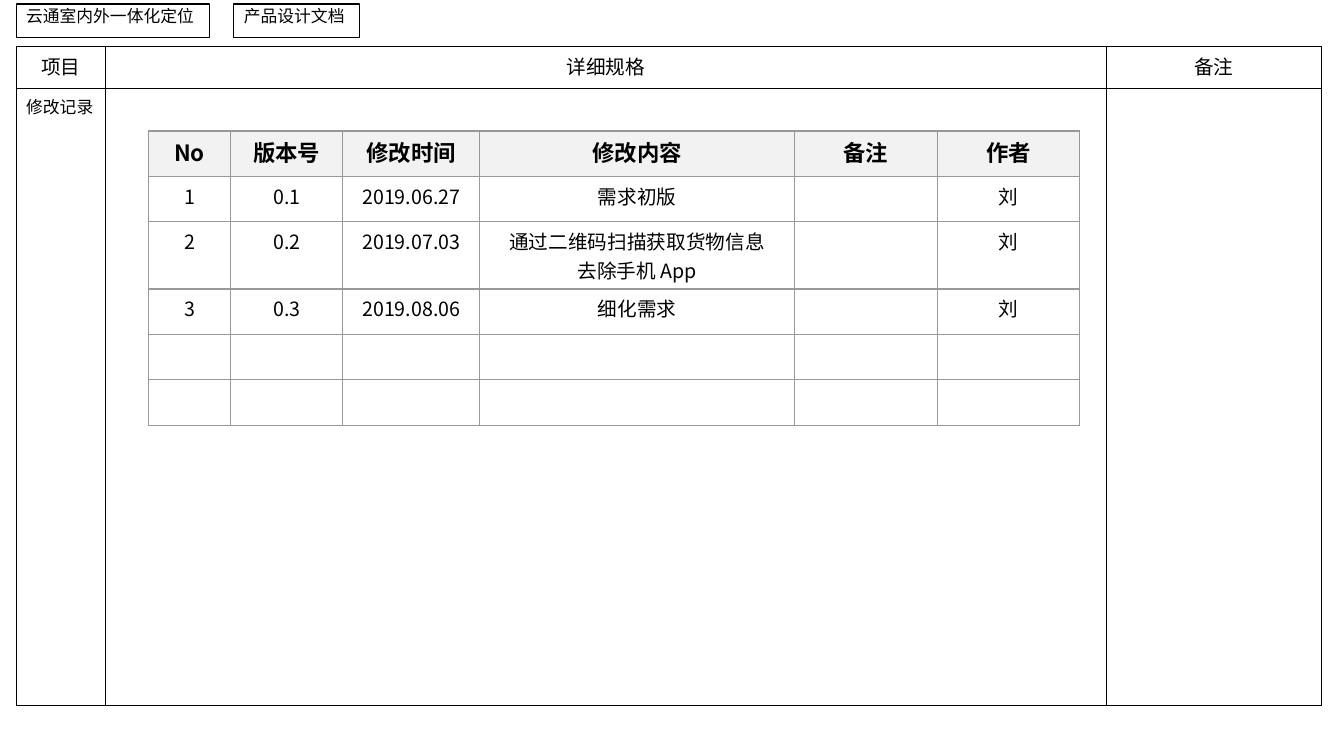
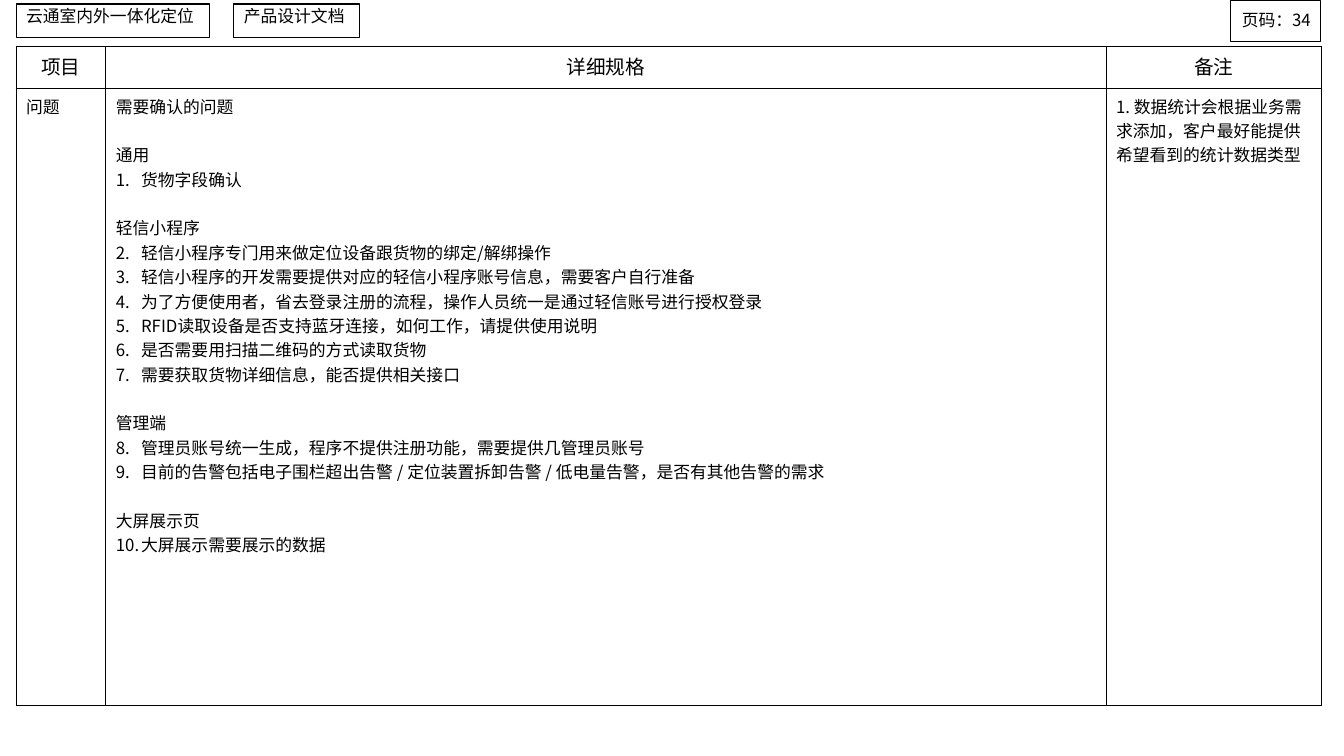
from dataclasses import dataclass
from pptx import Presentation
from pptx.dml.color import RGBColor as RGB
from pptx.enum.shapes import MSO_SHAPE as Shape
from pptx.enum.text import MSO_ANCHOR as Anchor, PP_ALIGN as Align
from pptx.oxml.ns import qn
from pptx.util import Inches, Pt


@dataclass(frozen=True)
class Theme:
    """Hold the colours, type sizes and font of the slides."""
    font: str = "Noto Sans CJK SC"
    ink: str = "000000"
    paper: str = "FFFFFF"
    rule: str = "999999"
    shade: str = "F2F2F2"
    body: int = 12
    head: int = 14
    title: int = 16
    gap: float = 17.4
    thin: float = 0.75


LOOK = Theme()
TAGS = [(0.16, 1.92, "云通室内外一体化定位"), (2.32, 1.25, "产品设计文档")]
HEADS = ["项目", "详细规格", "备注"]
LOG = [
    ["No", "版本号", "修改时间", "修改内容", "备注", "作者"],
    ["1", "0.1", "2019.06.27", "需求初版", "", "刘"],
    ["2", "0.2", "2019.07.03", "通过二维码扫描获取货物信息\n去除手机 App", "", "刘"],
    ["3", "0.3", "2019.08.06", "细化需求", "", "刘"],
    [""] * 6,
    [""] * 6,
]
TOPICS = [
    ("需要确认的问题", []),
    ("通用", ["货物字段确认"]),
    ("轻信小程序", [
        "轻信小程序专门用来做定位设备跟货物的绑定/解绑操作",
        "轻信小程序的开发需要提供对应的轻信小程序账号信息，需要客户自行准备",
        "为了方便使用者，省去登录注册的流程，操作人员统一是通过轻信账号进行授权登录",
        "RFID读取设备是否支持蓝牙连接，如何工作，请提供使用说明",
        "是否需要用扫描二维码的方式读取货物",
        "需要获取货物详细信息，能否提供相关接口",
    ]),
    ("管理端", [
        "管理员账号统一生成，程序不提供注册功能，需要提供几管理员账号",
        "目前的告警包括电子围栏超出告警 / 定位装置拆卸告警 / 低电量告警，是否有其他告警的需求",
    ]),
    ("大屏展示页", ["大屏展示需要展示的数据"]),
]
NOTE = "1. 数据统计会根据业务需求添加，客户最好能提供希望看到的统计数据类型"


def put(item, **vals):
    """Set each named value on an object."""
    for name, val in vals.items():
        setattr(item, name, val)


def add_para(frame, first):
    """Return the opening paragraph or a new one."""
    return frame.paragraphs[0] if first else frame.add_paragraph()


def add_run(para, text, size, bold=False):
    """Add styled text to a paragraph."""
    run = para.add_run()
    run.text = text
    put(run.font, name=LOOK.font, size=Pt(size), bold=bold)
    run.font.color.rgb = RGB.from_string(LOOK.ink)
    east = run.font._element.makeelement(qn("a:ea"), {"typeface": LOOK.font})
    run.font._element.find(qn("a:latin")).addnext(east)


def write(frame, text, size, bold=False, **form):
    """Write each line of text as one paragraph."""
    for i, line in enumerate(text.split("\n")):
        para = add_para(frame, i == 0)
        put(para, **form)
        add_run(para, line, size, bold)


def add_mark(para, start):
    """Number a paragraph from a start value, or leave it plain."""
    prop = para._p.get_or_add_pPr()
    if not start:
        prop.append(prop.makeelement(qn("a:buNone"), {}))
        return
    put_in = {"marL": Inches(0.25), "indent": Inches(-0.25)}
    for name, val in put_in.items():
        prop.set(name, str(val))
    kind = {"type": "arabicPeriod", "startAt": str(start)}
    prop.append(prop.makeelement(qn("a:buAutoNum"), kind))


def list_topics(frame):
    """Write the topics with numbers that run on between them."""
    start = 1
    for i, (head, items) in enumerate(TOPICS):
        para = add_para(frame, i == 0)
        if i:
            para.space_before = Pt(LOOK.gap)
        add_mark(para, 0)
        add_run(para, head, LOOK.body)
        for item in items:
            para = add_para(frame, False)
            add_mark(para, start)
            add_run(para, item, LOOK.body)
        start += len(items)


def edge(cell, color, width):
    """Draw the four borders of a cell."""
    prop = cell._tc.get_or_add_tcPr()
    for side in ("lnL", "lnR", "lnT", "lnB"):
        line = prop.makeelement(qn(f"a:{side}"), {"w": str(Pt(width))})
        fill = line.makeelement(qn("a:solidFill"), {})
        fill.append(fill.makeelement(qn("a:srgbClr"), {"val": color}))
        line.append(fill)
        prop.append(line)


def add_grid(slide, spot, cols, rows, color, width, shade):
    """Add a ruled table with a shaded first row."""
    size = [sum(cols), sum(rows)]
    frame = slide.shapes.add_table(
        len(rows), len(cols), *map(Inches, [*spot, *size]))
    grid = frame.table
    put(grid, first_row=False, horz_banding=False)
    for col, wide in zip(grid.columns, cols):
        col.width = Inches(wide)
    for i, (row, high) in enumerate(zip(grid.rows, rows)):
        row.height = Inches(high)
        for cell in row.cells:
            edge(cell, color, width)
            cell.fill.solid()
            tone = LOOK.paper if i else shade
            cell.fill.fore_color.rgb = RGB.from_string(tone)
    return grid


def add_tag(slide, spot, text, anchor=Anchor.TOP, **form):
    """Add a small outlined label."""
    box = slide.shapes.add_shape(Shape.RECTANGLE, *map(Inches, spot))
    box.shadow.inherit = False
    box.fill.background()
    box.line.color.rgb = RGB.from_string(LOOK.ink)
    box.line.width = Pt(LOOK.thin)
    put(box.text_frame, word_wrap=True, vertical_anchor=anchor,
        margin_top=Inches(0.02), margin_bottom=Inches(0.02))
    write(box.text_frame, text, LOOK.body, **{"alignment": Align.LEFT, **form})


def add_page(deck, topic):
    """Add a slide with the shared frame and return its body cells."""
    slide = deck.slides.add_slide(deck.slide_layouts[6])
    grid = add_grid(slide, (0.16, 0.46), [0.89, 9.92, 2.14], [0.42, 6.12],
                    LOOK.ink, LOOK.thin, LOOK.paper)
    for i, head in enumerate(HEADS):
        write(grid.cell(0, i).text_frame, head, LOOK.head,
              alignment=Align.CENTER)
    write(grid.cell(1, 0).text_frame, topic, LOOK.body)
    for left, wide, text in TAGS:
        add_tag(slide, (left, 0.04, wide, 0.33), text)
    return slide, grid.cell(1, 1), grid.cell(1, 2)


def add_log(slide):
    """Add the table of changes."""
    grid = add_grid(slide, (1.47, 1.3), [0.82, 1.11, 1.36, 3.12, 1.42, 1.41],
                    [0.45] * len(LOG), LOOK.rule, 1, LOOK.shade)
    for i, row in enumerate(LOG):
        size = LOOK.head if i else LOOK.title
        for j, text in enumerate(row):
            if text:
                write(grid.cell(i, j).text_frame, text, size, not i,
                      alignment=Align.CENTER)


def main():
    """Build and save the deck."""
    deck = Presentation()
    put(deck, slide_width=Inches(13.33), slide_height=Inches(7.5))
    slide, _, _ = add_page(deck, "修改记录")
    add_log(slide)
    slide, spec_cell, note = add_page(deck, "问题")
    list_topics(spec_cell.text_frame)
    write(note.text_frame, NOTE, LOOK.body)
    add_tag(slide, (12.2, 0.01, 0.9, 0.4), "页码：34", Anchor.MIDDLE,
            alignment=Align.RIGHT, line_spacing=0.82)
    deck.save("out.pptx")


if __name__ == "__main__":
    main()
